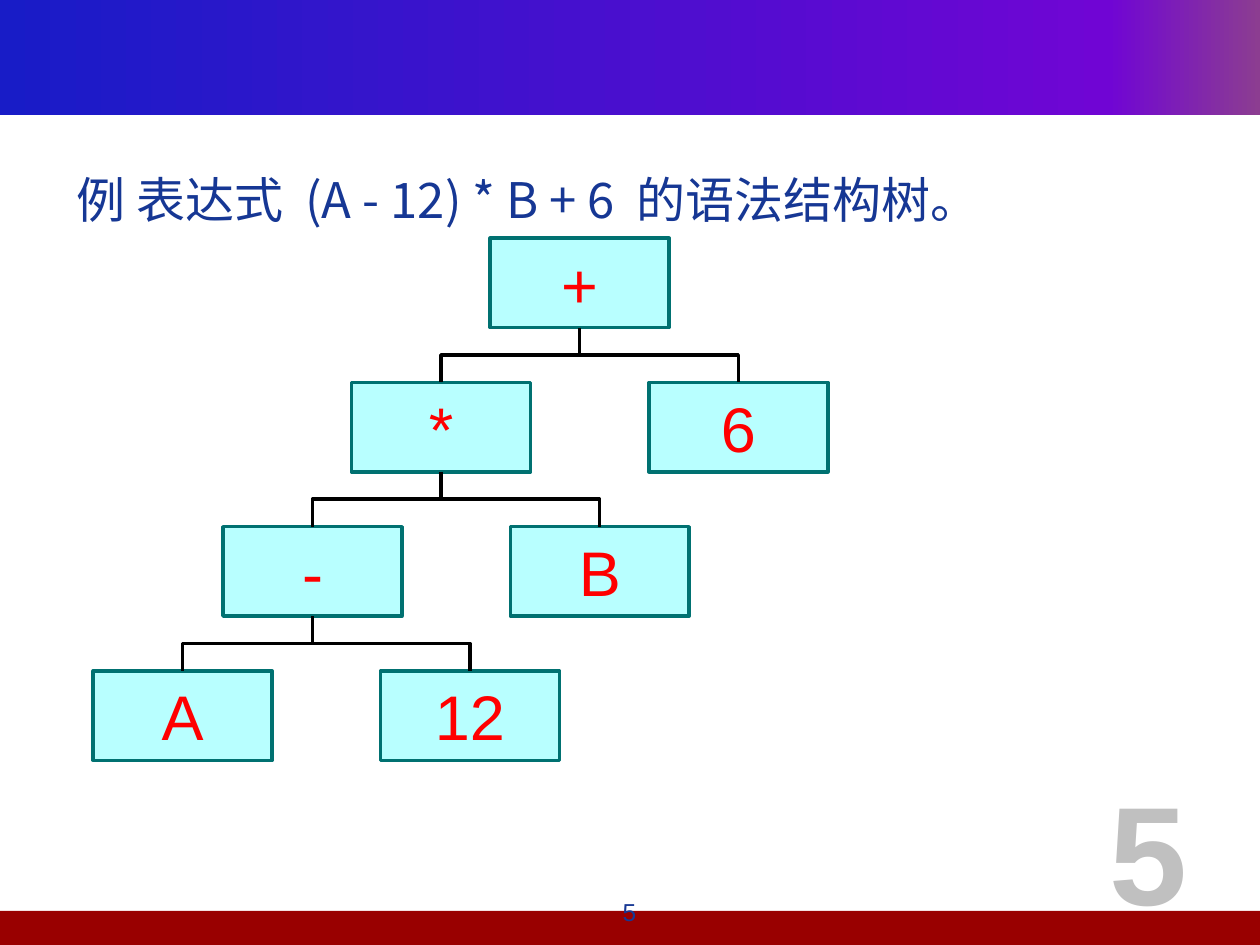
"""Build a slide showing the syntax tree of an arithmetic expression."""
import copy
from dataclasses import dataclass

from lxml import etree
from pptx import Presentation, util as u
from pptx.dml.color import RGBColor
from pptx.enum import shapes, text
from pptx.oxml import ns


@dataclass(frozen=True)
class Theme:
    latin: str = "Arial"
    chinese: str = "Noto Sans CJK SC"
    ink: str = "163794"
    symbol: str = "FF0000"
    node: str = "B8FFFF"
    border: str = "007171"
    branch: str = "000000"
    footer: str = "990000"
    ghost: str = "C0C0C0"
    header: tuple = ((0, "181CC7"), (0.88, "7005D4"), (1, "8C3D91"))
    small: int = 14
    heading: int = 28
    label: int = 36
    huge: int = 80
    line: int = 2


class SlideBuilder:
    """Hold the theme and current page, and place elements on a 100 by 75 grid."""

    def __init__(self, deck, theme):
        self.theme = theme
        self.page = deck.slides.add_slide(deck.slide_layouts[5])
        self.column = deck.slide_width / 100
        self.row = deck.slide_height / 75

    def area(self, col, row, cols, rows):
        return (u.Emu(round(col * self.column)), u.Emu(round(row * self.row)),
                u.Emu(round(cols * self.column)), u.Emu(round(rows * self.row)))

    def span(self, para, words, size, colour, font, bold=False, spacing=0):
        span = para.add_run()
        span.text = words
        span.font.size = u.Pt(size)
        span.font.bold = bold
        span.font.color.rgb = RGBColor.from_string(colour)
        span.font.name = font
        properties = span.font._element
        etree.SubElement(properties, ns.qn("a:ea")).set("typeface", font)
        if spacing:
            properties.set("spc", str(spacing))

    def title(self, spans, *place):
        box = self.page.shapes.title
        box.left, box.top, box.width, box.height = self.area(*place)
        frame = box.text_frame
        frame.auto_size = text.MSO_AUTO_SIZE.NONE
        frame.vertical_anchor = text.MSO_ANCHOR.MIDDLE
        para = frame.paragraphs[0]
        para.alignment = text.PP_ALIGN.LEFT
        for words, spacing in spans:
            self.span(para, words, self.theme.heading, self.theme.ink,
                      self.theme.chinese, spacing=spacing)

    def number(self, words, size, colour, *place, bold=False):
        box = self.page.shapes.add_textbox(*self.area(*place))
        box.text_frame.word_wrap = True
        para = box.text_frame.paragraphs[0]
        para.alignment = text.PP_ALIGN.CENTER
        self.span(para, words, size, colour, self.theme.latin, bold)

    def rectangle(self, *place):
        box = self.page.shapes.add_shape(shapes.MSO_SHAPE.RECTANGLE, *self.area(*place))
        box.shadow.inherit = False
        box.line.fill.background()
        return box

    def band(self, colour, *place):
        box = self.rectangle(*place)
        box.fill.solid()
        box.fill.fore_color.rgb = RGBColor.from_string(colour)
        return box

    def gradient_band(self, stops, *place):
        fill = self.rectangle(*place).fill
        fill.gradient()
        fill.gradient_angle = 0
        first = fill.gradient_stops[0]._gs
        for _ in range(len(stops) - len(fill.gradient_stops)):
            first.addnext(copy.deepcopy(first))
        for stop, (position, colour) in zip(fill.gradient_stops, stops):
            stop.position = position
            stop.color.rgb = RGBColor.from_string(colour)

    def node(self, words, *place):
        box = self.band(self.theme.node, *place)
        box.line.color.rgb = RGBColor.from_string(self.theme.border)
        box.line.width = u.Pt(self.theme.line)
        box.text_frame.vertical_anchor = text.MSO_ANCHOR.MIDDLE
        para = box.text_frame.paragraphs[0]
        para.alignment = text.PP_ALIGN.CENTER
        self.span(para, words, self.theme.label, self.theme.symbol, self.theme.latin)
        return box

    def branch(self, parent, child):
        link = self.page.shapes.add_connector(shapes.MSO_CONNECTOR.ELBOW, 0, 0, 0, 0)
        link.begin_connect(parent, 2)
        link.end_connect(child, 0)
        rightward = link.end_x > link.begin_x
        middle_x = (link.begin_x + link.end_x) // 2
        middle_y = (link.begin_y + link.end_y) // 2
        run, drop = abs(link.end_x - link.begin_x), link.end_y - link.begin_y
        link.left, link.top = middle_x - drop // 2, middle_y - run // 2
        link.width, link.height = drop, run
        link.line.color.rgb = RGBColor.from_string(self.theme.branch)
        link.line.width = u.Pt(self.theme.line)
        properties = link._element.spPr
        turn = properties.find(ns.qn("a:xfrm"))
        turn.set("rot", str((270 if rightward else 90) * 60000))
        turn.set("flipH", str(int(rightward)))
        turn.set("flipV", "0")
        etree.SubElement(properties, ns.qn("a:effectLst"))

    def tree(self, branches, top, pitch, cols, rows, level=0):
        words, left, *children = branches
        parent = self.node(words, left, top + level * pitch, cols, rows)
        for child in children:
            self.branch(parent, self.tree(child, top, pitch, cols, rows, level + 1))
        return parent


def main():
    theme = Theme()
    deck = Presentation()
    deck.slide_width, deck.slide_height = u.Inches(10), u.Inches(7.5)
    slide = SlideBuilder(deck, theme)

    slide.gradient_band(theme.header, 0, 0, 100, 9.1)
    slide.band(theme.footer, 0, 72.3, 100, 2.7)
    slide.number("5", theme.small, theme.ink, 38.3, 70.7, 23.3, 3.5)
    wide = 630
    slide.title((("例 表达式", 0), (" ", wide), ("(A - 12) * B + 6", 0),
                 (" ", wide), ("的语法结构树。", 0)), 5.1, 12.9, 83.6, 5.7)
    slide.number("5", theme.huge, theme.ghost, 82.3, 60.3, 17.7, 14.2, bold=True)

    difference = ("-", 17.7, ("A", 7.4), ("12", 30.2))
    product = ("*", 27.9, difference, ("B", 40.5))
    total = ("+", 38.9, product, ("6", 51.5))
    slide.tree(total, top=18.9, pitch=11.45, cols=14.2, rows=7.1)
    deck.save("out.pptx")


if __name__ == "__main__":
    main()
